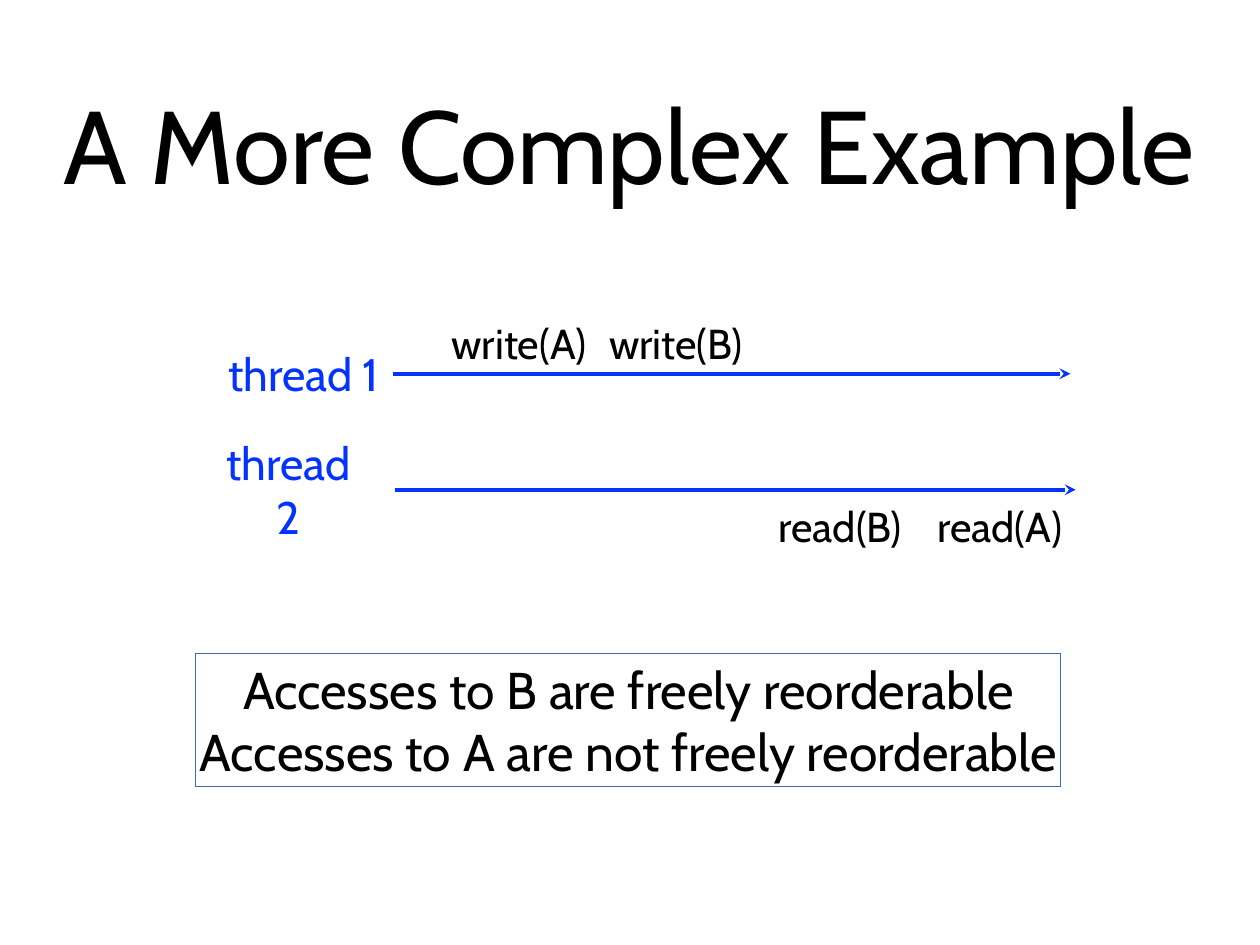
from lxml.etree import SubElement
from pptx import Presentation
from pptx.dml.color import RGBColor
from pptx.enum.shapes import MSO_CONNECTOR as Connector
from pptx.enum.text import MSO_ANCHOR as Anchor, MSO_AUTO_SIZE as AutoSize, PP_ALIGN as Align
from pptx.oxml.ns import qn
from pptx.util import Pt

PX = 9144
FONT = "Cabin"
COLOURS = {"text": "000000", "thread": "0433FF", "border": "3A6CAE"}


def colour(name):
    return RGBColor.from_string(COLOURS[name])


def write(box, place, lines, size, ink="text", insets=(6, 6), wrap=False):
    box.left, box.top, box.width, box.height = [value * PX for value in place]
    frame = box.text_frame
    frame.text = "\n".join(lines)
    frame.auto_size = AutoSize.NONE
    frame.word_wrap = wrap
    frame.vertical_anchor = Anchor.MIDDLE
    frame.margin_left, frame.margin_right = [value * PX for value in insets]
    frame.margin_top = frame.margin_bottom = 6 * PX
    for para in frame.paragraphs:
        para.alignment = Align.CENTER
        para.font.name = FONT
        para.font.size = Pt(size)
        para.font.color.rgb = colour(ink)


deck = Presentation()
deck.slide_width, deck.slide_height = 1422 * PX, 1067 * PX
page = deck.slides.add_slide(deck.slide_layouts[5])
shapes = page.shapes

write(shapes.title, (29, 28, 1362, 267), ["A More Complex Example"], 84, wrap=True)

threads = [
    ("thread 1", 249, 386, (6, 6), False, 444, 1208, 422),
    ("thread 2", 250, 517, (0, 36), True, 446, 1214, 553),
]
for name, left, top, insets, wrap, start, tip, level in threads:
    arrow = shapes.add_connector(
        Connector.STRAIGHT, tip * PX, level * PX, start * PX, level * PX
    )
    arrow.line.color.rgb = colour("thread")
    arrow.line.width = Pt(3)
    SubElement(arrow.line._get_or_add_ln(), qn("a:headEnd"), type="stealth")
    SubElement(arrow._element.spPr, qn("a:effectLst"))
    label = shapes.add_textbox(0, 0, 0, 0)
    write(label, (left, top, 187, 71), [name], 37, "thread", insets, wrap)

accesses = [
    ("write(A)", 498, 354, 176),
    ("write(B)", 677, 354, 171),
    ("read(B)", 871, 561, 154),
    ("read(A)", 1049, 561, 159),
]
for name, left, top, width in accesses:
    write(shapes.add_textbox(0, 0, 0, 0), (left, top, width, 65), [name], 34)

summary = shapes.add_textbox(0, 0, 0, 0)
summary_lines = [
    "Accesses to B are freely reorderable",
    "Accesses to A are not freely reorderable",
]
write(summary, (221, 738, 976, 150), summary_lines, 42, insets=(0, 0))
summary.line.color.rgb = colour("border")
summary.line.width = Pt(1)

deck.save("out.pptx")
